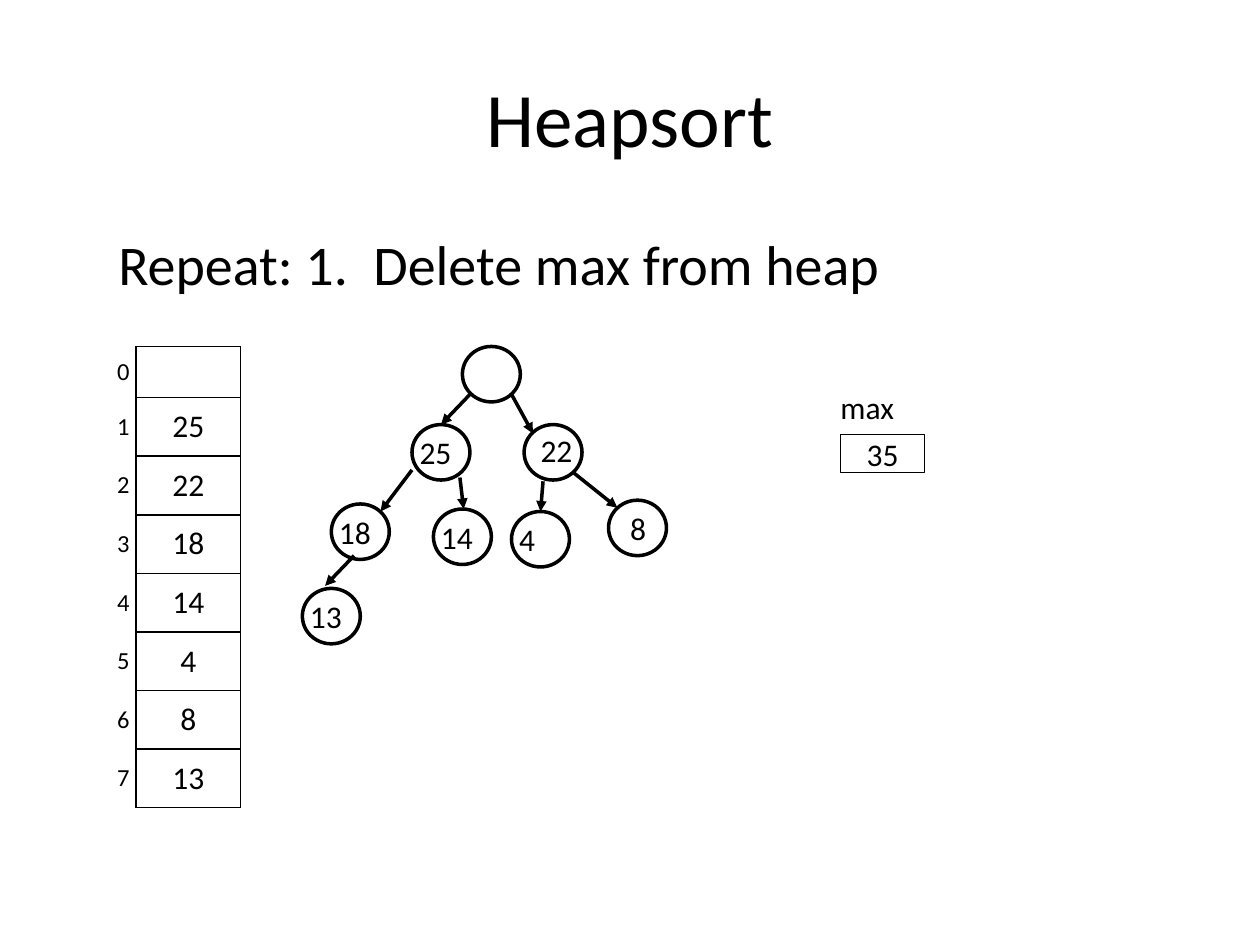
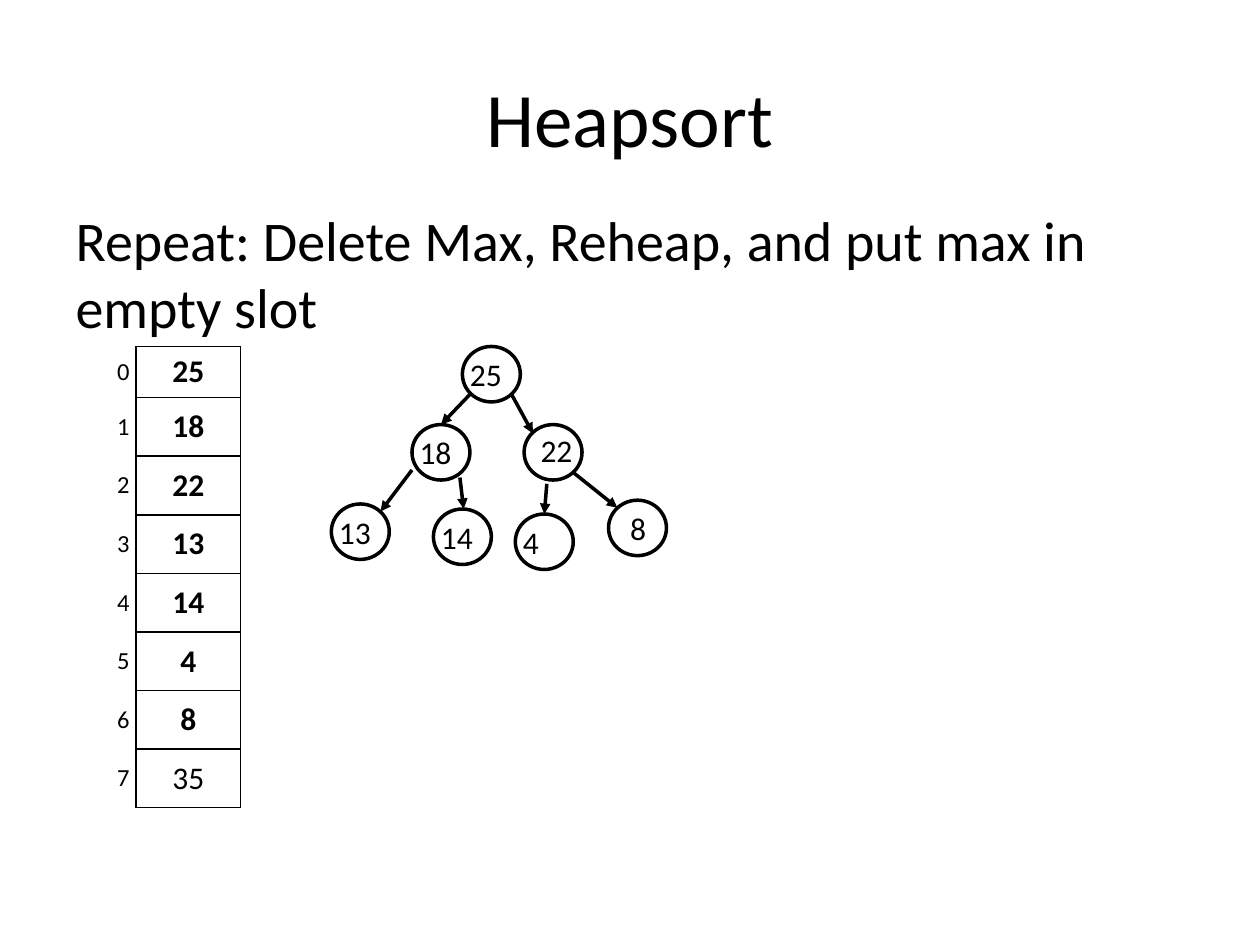
import dataclasses

import pptx
import pptx.dml.color
import pptx.enum.shapes
import pptx.enum.text
import pptx.oxml.ns
import pptx.util
from lxml import etree

INK = pptx.dml.color.RGBColor(0x00, 0x00, 0x00)
FONT = "Calibri"
COLUMNS, ROWS = 100, 75
TITLE_ONLY, TITLE_AND_BODY = 5, 1
NODE_SIZE = (4.6, 4.4)

ALIGN = pptx.enum.text.PP_ALIGN
ANCHOR = pptx.enum.text.MSO_ANCHOR
SHAPE = pptx.enum.shapes.MSO_SHAPE
qn = pptx.oxml.ns.qn


@dataclasses.dataclass
class HeapSlot:
    """Place of a heap node; the arrow and key are offsets from its corner."""
    col: float
    row: float
    arrow_start: tuple = None
    arrow_end: tuple = None
    key_offset: tuple = (0.6, 0.7)
    key_align: object = ALIGN.LEFT


# Slots in heap order: the children of slot i are 2i + 1 and 2i + 2.
HEAP_SLOTS = [
    HeapSlot(36.7, 27.5),
    HeapSlot(32.7, 33.7, (4.6, -2.4), (2.3, 0)),
    HeapSlot(41.6, 33.7, (-1, -2.4), (0.7, 0.7), key_offset=(1.3, 0.5)),
    HeapSlot(26.3, 40, (6.4, -2.7), (3.9, 0.6)),
    HeapSlot(34.4, 40.4, (2.1, -2.5), (2.4, 0)),
    HeapSlot(40.6, 40.6, (2.5, -2.4), (2.3, 0)),
    HeapSlot(48.3, 39.7, (-2.8, -2.2), (0.7, 0.6), (0.7, 0.7), ALIGN.CENTER),
    HeapSlot(24, 46.7, (4.1, -2.6), (1.8, -0.2)),
]


def write(frame, text, size=18, bold=False, align=ALIGN.LEFT):
    paragraph = frame.paragraphs[0]
    paragraph.alignment = align
    run = paragraph.add_run()
    run.text = text
    run.font.name = FONT
    run.font.size = pptx.util.Pt(size)
    run.font.bold = bold
    run.font.color.rgb = INK
    return paragraph


def border_cell(cell, width=1):
    properties = cell._tc.get_or_add_tcPr()
    for position, side in enumerate(("a:lnL", "a:lnR", "a:lnT", "a:lnB")):
        edge = etree.Element(qn(side), w=str(pptx.util.Pt(width)))
        fill = etree.SubElement(edge, qn("a:solidFill"))
        etree.SubElement(fill, qn("a:srgbClr"), val=str(INK))
        properties.insert(position, edge)


class HeapDeck:
    """Holds the presentation, its grid and the slide being drawn."""

    def __init__(self):
        self.deck = pptx.Presentation()
        self.deck.slide_width = pptx.util.Inches(10)
        self.deck.slide_height = pptx.util.Inches(7.5)
        self.slide = None

    def x(self, columns):
        return round(self.deck.slide_width * columns / COLUMNS)

    def y(self, rows):
        return round(self.deck.slide_height * rows / ROWS)

    def box(self, col, row, width, height):
        return self.x(col), self.y(row), self.x(width), self.y(height)

    def place(self, placeholder, *area):
        (placeholder.left, placeholder.top,
         placeholder.width, placeholder.height) = self.box(*area)

    def start_slide(self, title, layout):
        self.slide = self.deck.slides.add_slide(self.deck.slide_layouts[layout])
        heading = self.slide.shapes.title
        self.place(heading, 5, 3, 90, 12.5)
        write(heading.text_frame, title, size=44, align=ALIGN.CENTER)

    def body(self, text):
        body = self.slide.placeholders[1]
        self.place(body, 5, 15.8, 90, 51.2)
        properties = write(body.text_frame, text, size=32)._p.get_or_add_pPr()
        properties.set("marL", "0")
        properties.set("indent", "0")
        etree.SubElement(properties, qn("a:buNone"))

    def label(self, text, area, parent=None, inset=0, **text_format):
        label = (parent or self.slide).shapes.add_textbox(*self.box(*area))
        self.fit(label.text_frame, inset)
        write(label.text_frame, text, **text_format)

    def fit(self, frame, inset):
        frame.word_wrap = True
        frame.auto_size = pptx.enum.text.MSO_AUTO_SIZE.SHAPE_TO_FIT_TEXT
        frame.margin_left = frame.margin_right = self.x(inset)
        frame.margin_top = frame.margin_bottom = self.y(inset / 2)

    def outline(self, kind, area, line_width=2, parent=None):
        shape = (parent or self.slide).shapes.add_shape(kind, *self.box(*area))
        shape.shadow.inherit = False
        shape.fill.background()
        shape.line.color.rgb = INK
        shape.line.width = pptx.util.Pt(line_width)
        return shape

    def value_box(self, text, area):
        frame = self.outline(SHAPE.RECTANGLE, area, line_width=0.75).text_frame
        self.fit(frame, 0)
        frame.vertical_anchor = ANCHOR.MIDDLE
        write(frame, text, align=ALIGN.CENTER)

    def arrow(self, start, end):
        arrow = self.slide.shapes.add_connector(
            pptx.enum.shapes.MSO_CONNECTOR.STRAIGHT,
            self.x(start[0]), self.y(start[1]), self.x(end[0]), self.y(end[1]))
        arrow.line.color.rgb = INK
        arrow.line.width = pptx.util.Pt(2)
        etree.SubElement(arrow.line._get_or_add_ln(), qn("a:tailEnd"),
                         type="triangle")
        etree.SubElement(arrow._element.spPr, qn("a:effectLst"))

    def node(self, slot, key):
        circle = (slot.col, slot.row, *NODE_SIZE)
        if not key:
            self.outline(SHAPE.OVAL, circle)
            return
        group = self.slide.shapes.add_group_shape()
        self.outline(SHAPE.OVAL, circle, parent=group)
        key_col, key_row = slot.key_offset
        self.label(key, (slot.col + key_col, slot.row + key_row, 3.3, 3),
                   parent=group, align=slot.key_align)

    def heap(self, keys, slots):
        used = list(zip(slots, keys))
        for slot, key in used:
            self.node(slot, key)
        for slot, _ in used[1:]:
            self.arrow(*((slot.col + dx, slot.row + dy)
                         for dx, dy in (slot.arrow_start, slot.arrow_end)))

    def array(self, values, bold_count=0):
        """Draw the indexed array, its first bold_count values in bold."""
        heights = [4.05] + [4.65] * (len(values) - 1)
        table = self.slide.shapes.add_table(
            len(values), 2, *self.box(8.3, 27.5, 10.8, sum(heights))).table
        table.first_row = table.horz_banding = False
        for column, width in zip(table.columns, (2.5, 8.3)):
            column.width = self.x(width)
        for index, value in enumerate(values):
            table.rows[index].height = self.y(heights[index])
            index_cell, value_cell = table.rows[index].cells
            for cell in (index_cell, value_cell):
                cell.fill.background()
                cell.vertical_anchor = ANCHOR.MIDDLE
            write(index_cell.text_frame, str(index), size=14, align=ALIGN.CENTER)
            if value:
                write(value_cell.text_frame, value, bold=index < bold_count,
                      align=ALIGN.CENTER)
            border_cell(value_cell)


def main():
    heapsort = HeapDeck()

    heapsort.start_slide("Heapsort", TITLE_ONLY)
    after_delete = ["", "25", "22", "18", "14", "4", "8", "13"]
    heapsort.array(after_delete)
    heapsort.heap(after_delete, HEAP_SLOTS)
    heapsort.label("max", (66.7, 30.8, 6.7, 3))
    heapsort.value_box("35", (66.7, 34.5, 6.7, 3))
    heapsort.label("Repeat: 1.  Delete max from heap", (8.4, 17.7, 71.1, 6.4),
                   inset=1, size=32)

    heapsort.start_slide("Heapsort", TITLE_AND_BODY)
    heapsort.body("Repeat: Delete Max, Reheap, and put max in empty slot")
    reheaped = ["25", "18", "22", "13", "14", "4", "8"]
    heapsort.array(reheaped + ["35"], bold_count=len(reheaped))
    slots = list(HEAP_SLOTS)
    slots[5] = dataclasses.replace(slots[5], col=40.9, row=40.8)
    heapsort.heap(reheaped, slots)

    heapsort.deck.save("out.pptx")


if __name__ == "__main__":
    main()
